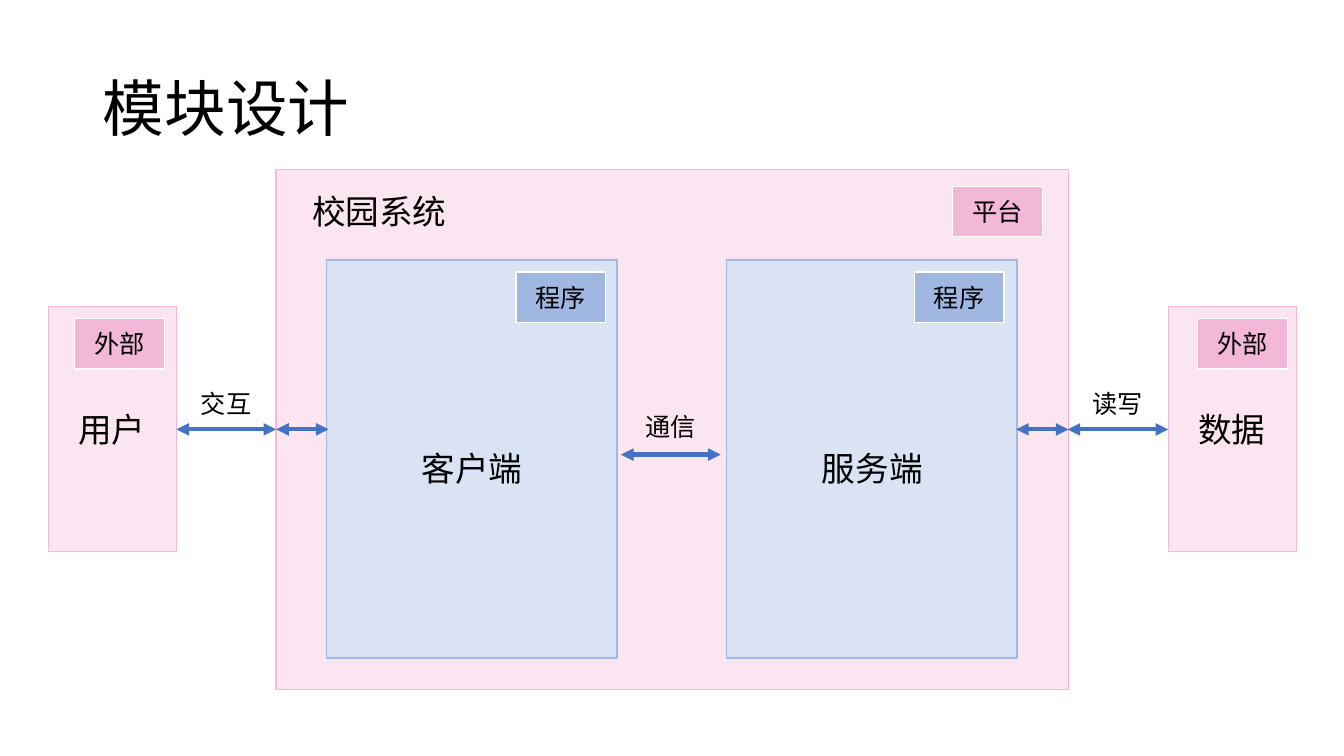
from dataclasses import dataclass

from lxml.etree import SubElement
from pptx import Presentation
from pptx.dml.color import RGBColor
from pptx.enum.shapes import MSO_CONNECTOR as Connector, MSO_SHAPE as Shape
from pptx.enum.text import MSO_ANCHOR as Anchor, MSO_AUTO_SIZE as AutoSize, PP_ALIGN as Align
from pptx.oxml.ns import qn
from pptx.slide import Slide
from pptx.text.text import TextFrame
from pptx.util import Inches, Pt

FONT = "Noto Sans CJK SC"
BLACK = RGBColor(0x00, 0x00, 0x00)
WHITE = RGBColor(0xFF, 0xFF, 0xFF)
PALE_PINK = RGBColor(0xFB, 0xE5, 0xF1)
PINK = RGBColor(0xF3, 0xB7, 0xD8)
PALE_BLUE = RGBColor(0xDA, 0xE3, 0xF3)
BLUE = RGBColor(0x9F, 0xB7, 0xE1)
ARROW_BLUE = RGBColor(0x44, 0x72, 0xC4)

# Grid of square cells, ten to the inch
CELL = Inches(0.1)
COLUMNS, ROWS = 133.33, 75
TAG_WIDTH, TAG_HEIGHT = 8.9, 5
NAME_SIZE, SMALL_SIZE = 24, 18


@dataclass(frozen=True)
class Palette:
    fill: RGBColor
    accent: RGBColor


@dataclass(frozen=True)
class Area:
    left: float
    top: float
    width: float
    height: float


@dataclass(frozen=True)
class Module:
    """A named box; the tag is offset from its corner, the name centred on a point."""
    name: str
    tag: str
    area: Area
    palette: Palette
    tag_offset: tuple[float, float]
    name_centre: tuple[float, float]


@dataclass(frozen=True)
class Link:
    start: float
    end: float
    row: float
    label: str = ""
    label_row: float = 0


PINKS = Palette(PALE_PINK, PINK)
BLUES = Palette(PALE_BLUE, BLUE)

MODULES = [
    Module("校园系统", "平台", Area(27.4, 16.8, 78.6, 51.6), PINKS, (67.1, 1.7), (37.65, 20.9)),
    Module("用户", "外部", Area(4.8, 30.4, 12.7, 24.3), PINKS, (2.6, 1.2), (11.1, 42.6)),
    Module("数据", "外部", Area(115.9, 30.4, 12.7, 24.3), PINKS, (2.9, 1.2), (122.2, 42.6)),
    Module("客户端", "程序", Area(32.4, 25.8, 28.8, 39.5), BLUES, (18.8, 1.2), (46.85, 46.4)),
    Module("服务端", "程序", Area(72.1, 25.8, 28.8, 39.5), BLUES, (18.6, 1.2), (86.55, 46.4)),
]

LINKS = [
    Link(17.5, 27.4, 42.6, "交互", 40),
    Link(27.4, 32.6, 42.6),
    Link(61.6, 71.5, 45.1, "通信", 42.3),
    Link(100.8, 106, 42.6),
    Link(105.9, 115.9, 42.6, "读写", 40),
]


def cells(*counts: float) -> list[int]:
    return [round(count * CELL) for count in counts]


def write(frame: TextFrame, text: str, size: int, align: Align = Align.LEFT) -> None:
    para = frame.paragraphs[0]
    para.text = text
    para.alignment = align
    font = para.font
    font.name, font.size = FONT, Pt(size)
    font.color.rgb = BLACK
    defaults = para._p.pPr.find(qn("a:defRPr"))
    SubElement(defaults, qn("a:ea")).set("typeface", FONT)


def add_box(slide: Slide, area: Area, fill: RGBColor, outline: RGBColor) -> TextFrame:
    box = slide.shapes.add_shape(
        Shape.RECTANGLE, *cells(area.left, area.top, area.width, area.height))
    box.shadow.inherit = False
    box.fill.solid()
    box.fill.fore_color.rgb = fill
    box.line.color.rgb = outline
    box.line.width = Pt(1)
    box.text_frame.vertical_anchor = Anchor.MIDDLE
    return box.text_frame


def add_label(slide: Slide, text: str, centre: tuple[float, float], size: int) -> None:
    width = len(text) * size / 7.2 + 2
    height = 5 if size == NAME_SIZE else 4
    column, row = centre
    box = slide.shapes.add_textbox(
        *cells(column - width / 2, row - height / 2, width, height))
    box.text_frame.word_wrap = False
    box.text_frame.auto_size = AutoSize.SHAPE_TO_FIT_TEXT
    write(box.text_frame, text, size)


def add_module(slide: Slide, module: Module) -> None:
    area, palette = module.area, module.palette
    add_box(slide, area, palette.fill, palette.accent)
    add_label(slide, module.name, module.name_centre, NAME_SIZE)
    across, down = module.tag_offset
    tag_area = Area(area.left + across, area.top + down, TAG_WIDTH, TAG_HEIGHT)
    tag_frame = add_box(slide, tag_area, palette.accent, WHITE)
    write(tag_frame, module.tag, SMALL_SIZE, Align.CENTER)


def add_link(slide: Slide, link: Link) -> None:
    arrow = slide.shapes.add_connector(
        Connector.STRAIGHT, *cells(link.start, link.row, link.end, link.row))
    arrow.line.color.rgb = ARROW_BLUE
    arrow.line.width = Pt(3)
    outline = arrow.line._get_or_add_ln()
    for end in ("a:headEnd", "a:tailEnd"):
        SubElement(outline, qn(end)).set("type", "triangle")
    SubElement(arrow._element.spPr, qn("a:effectLst"))
    if link.label:
        centre = ((link.start + link.end) / 2, link.label_row)
        add_label(slide, link.label, centre, SMALL_SIZE)


def add_title(slide: Slide, text: str) -> None:
    title = slide.shapes.title
    title.left, title.top, title.width, title.height = cells(9.2, 3.8, 115, 14.5)
    title.text_frame.vertical_anchor = Anchor.MIDDLE
    write(title.text_frame, text, 44)
    title.text_frame.paragraphs[0].line_spacing = 0.9


def main() -> None:
    deck = Presentation()
    deck.slide_width, deck.slide_height = cells(COLUMNS, ROWS)
    page = deck.slides.add_slide(deck.slide_layouts.get_by_name("Title Only"))
    add_title(page, "模块设计")
    for module in MODULES:
        add_module(page, module)
    for link in LINKS:
        add_link(page, link)
    deck.save("out.pptx")


if __name__ == "__main__":
    main()
